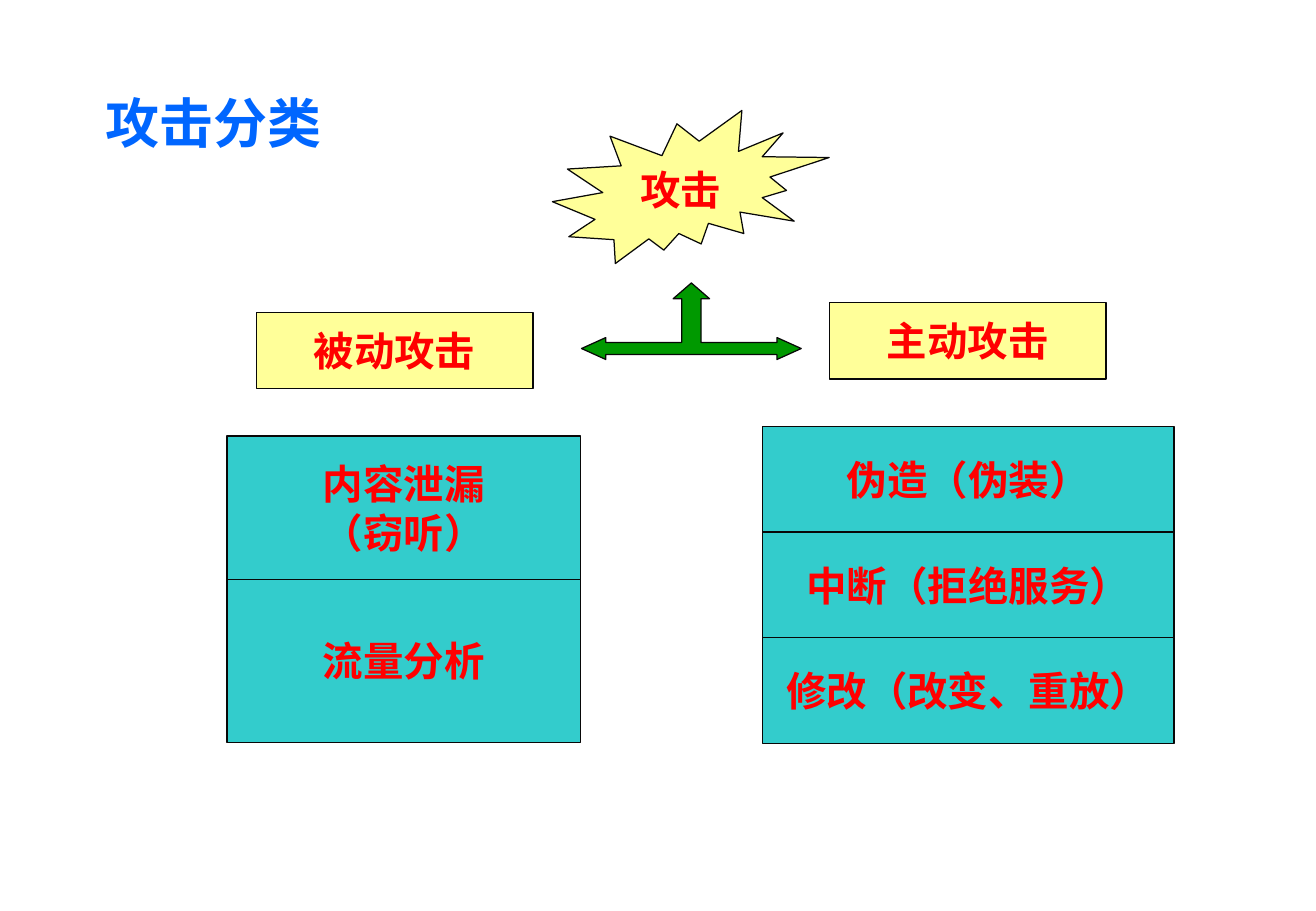
from pptx import Presentation
from pptx.dml.color import RGBColor
from pptx.enum.shapes import MSO_SHAPE as SHAPE
from pptx.enum.text import MSO_ANCHOR as ANCHOR, PP_ALIGN as ALIGN
from pptx.util import Inches, Pt

BLUE = RGBColor(0x00, 0x66, 0xFF)
RED = RGBColor(0xFF, 0x00, 0x00)
YELLOW = RGBColor(0xFF, 0xFF, 0x99)
TEAL = RGBColor(0x33, 0xCC, 0xCC)
GREEN = RGBColor(0x00, 0x99, 0x00)
BLACK = RGBColor(0x08, 0x08, 0x08)


def write(tf, text, color, align, anchor, **font):
    tf.vertical_anchor = anchor
    tf.text = text
    for p in tf.paragraphs:
        p.alignment = align
        for r in p.runs:
            r.font.color.rgb = color
            for name, value in font.items():
                setattr(r.font, name, value)


def paint(sp, fill):
    sp.shadow.inherit = False
    sp.fill.solid()
    sp.fill.fore_color.rgb = fill
    sp.line.color.rgb = BLACK
    sp.line.width = Pt(0.75)


def add_title(s, text, left, top, width, height):
    title = s.shapes.title
    box = dict(left=left, top=top, width=width, height=height)
    for name, value in box.items():
        setattr(title, name, Inches(value))
    write(title.text_frame, text, BLUE, ALIGN.LEFT, ANCHOR.BOTTOM,
          name="Roboto", size=Pt(32), bold=True)


def add_label(s, text, fill, left, top, width, height,
              kind=SHAPE.FLOWCHART_PROCESS):
    sp = s.shapes.add_shape(kind, *map(Inches, (left, top, width, height)))
    paint(sp, fill)
    sp.text_frame.word_wrap = False
    write(sp.text_frame, text, RED, ALIGN.CENTER, ANCHOR.MIDDLE,
          name="Arial", size=Pt(24), bold=True)


def add_stack(s, left, top, width, rows):
    for text, height in rows:
        add_label(s, text, TEAL, left, top, width, height)
        top += height


def add_three_way_arrow(s, left, top, width, height):
    center = left + width / 2
    middle = height - 0.09
    shaft, head, tip = 0.05, 0.09, 0.2
    neck = width / 2 - tip
    right = [(0.15, 0.13), (0.08, 0.13), (0.08, middle - shaft),
             (neck, middle - shaft), (neck, middle - head),
             (width / 2, middle), (neck, middle + head),
             (neck, middle + shaft)]
    outline = right + [(-x, y) for x, y in reversed(right)]
    points = [(Inches(center + x), Inches(top + y)) for x, y in outline]
    builder = s.shapes.build_freeform(Inches(center), Inches(top))
    builder.add_line_segments(points, close=True)
    paint(builder.convert_to_shape(), GREEN)


def build_attack_slide(prs):
    s = prs.slides.add_slide(prs.slide_layouts[5])
    add_title(s, "攻击分类", 0.77, 0.36, 9.23, 0.96)
    add_label(s, "被动攻击", YELLOW, 2.11, 2.57, 2.28, 0.63)
    add_label(s, "主动攻击", YELLOW, 6.83, 2.49, 2.28, 0.63)
    add_stack(s, 1.87, 3.59, 2.91,
              [("内容泄漏\n（窃听）", 1.18), ("流量分析", 1.34)])
    add_label(s, "攻击", YELLOW, 4.55, 0.91, 2.28, 1.26, SHAPE.EXPLOSION2)
    add_stack(s, 6.28, 3.51, 3.39,
              [(text, 0.87) for text in
               ("伪造（伪装）", "中断（拒绝服务）", "修改（改变、重放）")])
    add_three_way_arrow(s, 4.79, 2.33, 1.81, 0.63)


def main():
    prs = Presentation()
    prs.slide_width = Inches(10.84)
    prs.slide_height = Inches(7.5)
    build_attack_slide(prs)
    prs.save("out.pptx")


if __name__ == "__main__":
    main()
